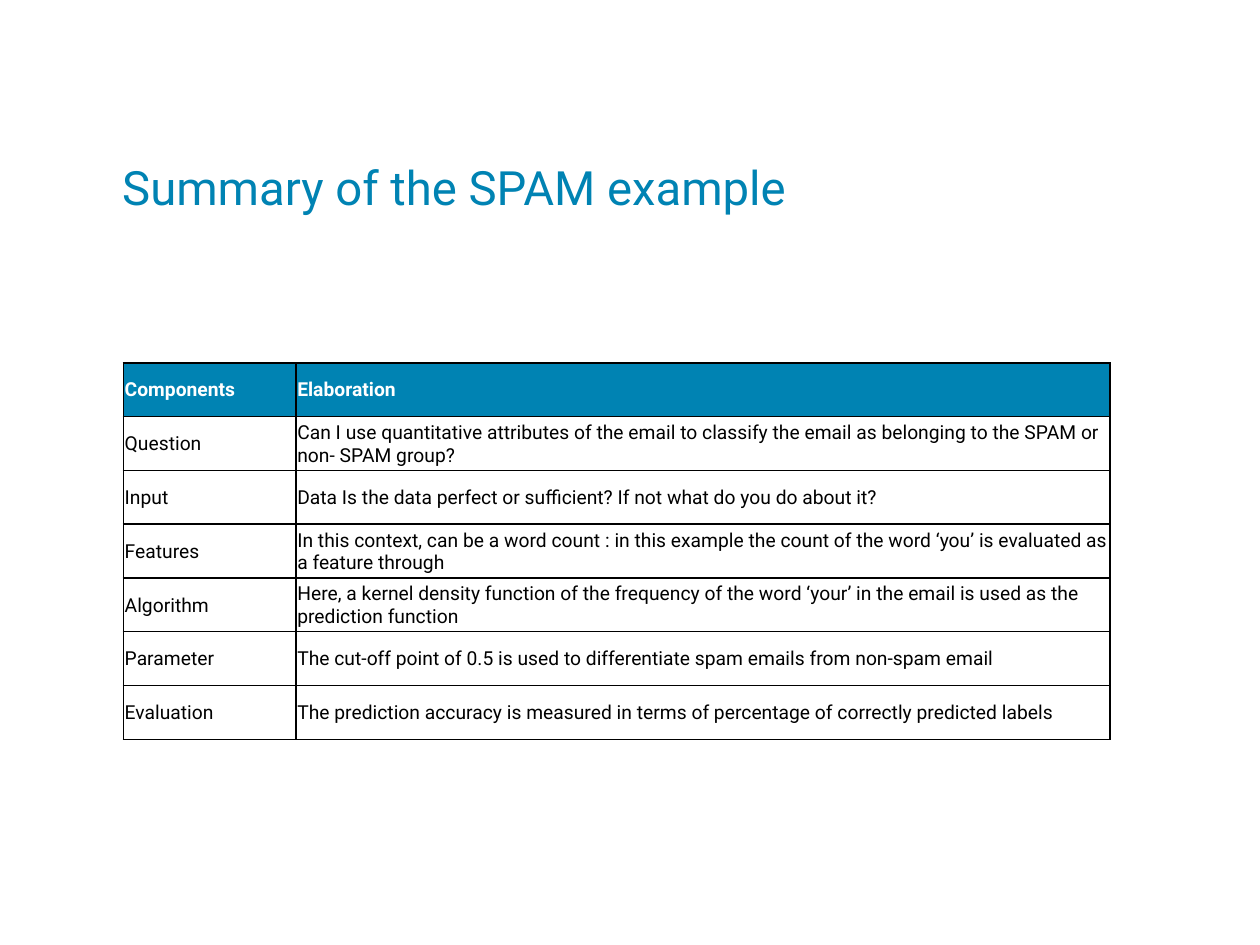
from pptx import Presentation
from pptx.dml.color import RGBColor
from pptx.enum.text import MSO_ANCHOR, PP_ALIGN
from pptx.oxml import parse_xml
from pptx.oxml.ns import nsdecls
from pptx.util import Inches, Pt

BLUE = RGBColor(0x00, 0x83, 0xB3)
BLACK = RGBColor(0x00, 0x00, 0x00)
WHITE = RGBColor(0xFF, 0xFF, 0xFF)
FONT = "Roboto"
COLUMN_WIDTHS = (1.37, 6.46)
ROWS = (
    ("Components", "Elaboration"),
    ("Question", "Can I use quantitative attributes of the email to classify the email "
                 "as belonging to the SPAM or non- SPAM group?"),
    ("Input", "Data Is the data perfect or sufficient? If not what do you do about it?"),
    ("Features", "In this context, can be a word count : in this example the count of "
                 "the word ‘you’ is evaluated as a feature through"),
    ("Algorithm", "Here, a kernel density function of the frequency of the word ‘your’ "
                  "in the email is used as the prediction function"),
    ("Parameter", "The cut-off point of 0.5 is used to differentiate spam emails from "
                  "non-spam email"),
    ("Evaluation", "The prediction accuracy is measured in terms of percentage of "
                   "correctly predicted labels"),
)


def style_paragraph(para, size, color, bold=False):
    """Set the font and left alignment of a paragraph."""
    para.alignment = PP_ALIGN.LEFT
    font = para.font
    font.name, font.size, font.bold = FONT, Pt(size), bold
    font.color.rgb = color


def add_title(page, text):
    """Fill and place the title placeholder."""
    title = page.shapes.title
    title.left, title.top = Inches(0.87), Inches(0.58)
    title.width, title.height = Inches(7.13), Inches(1.17)
    frame = title.text_frame
    frame.text = text
    frame.word_wrap = True
    frame.vertical_anchor = MSO_ANCHOR.BOTTOM
    para = frame.paragraphs[0]
    para.line_spacing = 0.8
    style_paragraph(para, 27, BLUE)


def add_borders(cell):
    """Draw a thin black line on each side of a cell."""
    properties = cell._tc.get_or_add_tcPr()
    for side in ("lnL", "lnR", "lnT", "lnB"):
        properties.append(parse_xml(
            f'<a:{side} {nsdecls("a")} w="{Pt(1)}"><a:solidFill>'
            f'<a:srgbClr val="{BLACK}"/></a:solidFill></a:{side}>'))


def fill_cell(cell, text, is_header):
    """Write and format one table cell."""
    cell.text = text
    cell.vertical_anchor = MSO_ANCHOR.MIDDLE
    cell.margin_left = cell.margin_right = cell.margin_top = Inches(0.01)
    cell.margin_bottom = 0
    add_borders(cell)
    if is_header:
        cell.fill.solid()
        cell.fill.fore_color.rgb = BLUE
    else:
        cell.fill.background()
    color = WHITE if is_header else BLACK
    style_paragraph(cell.text_frame.paragraphs[0], 11, color, is_header)


def add_summary_table(page):
    """Add the table of components and their elaboration."""
    table = page.shapes.add_table(
        len(ROWS), len(COLUMN_WIDTHS), Inches(0.98), Inches(2.88),
        Inches(sum(COLUMN_WIDTHS)), Inches(2.99)).table
    table.horz_banding = False
    for column, width in zip(table.columns, COLUMN_WIDTHS):
        column.width = Inches(width)
    for row_index, texts in enumerate(ROWS):
        for column_index, text in enumerate(texts):
            fill_cell(table.cell(row_index, column_index), text, row_index == 0)


def main():
    """Build the slide and save the deck."""
    deck = Presentation()
    deck.slide_width, deck.slide_height = Inches(10), Inches(7.5)
    page = deck.slides.add_slide(deck.slide_layouts[5])
    add_title(page, "Summary of the SPAM example")
    add_summary_table(page)
    deck.save("out.pptx")


if __name__ == "__main__":
    main()
